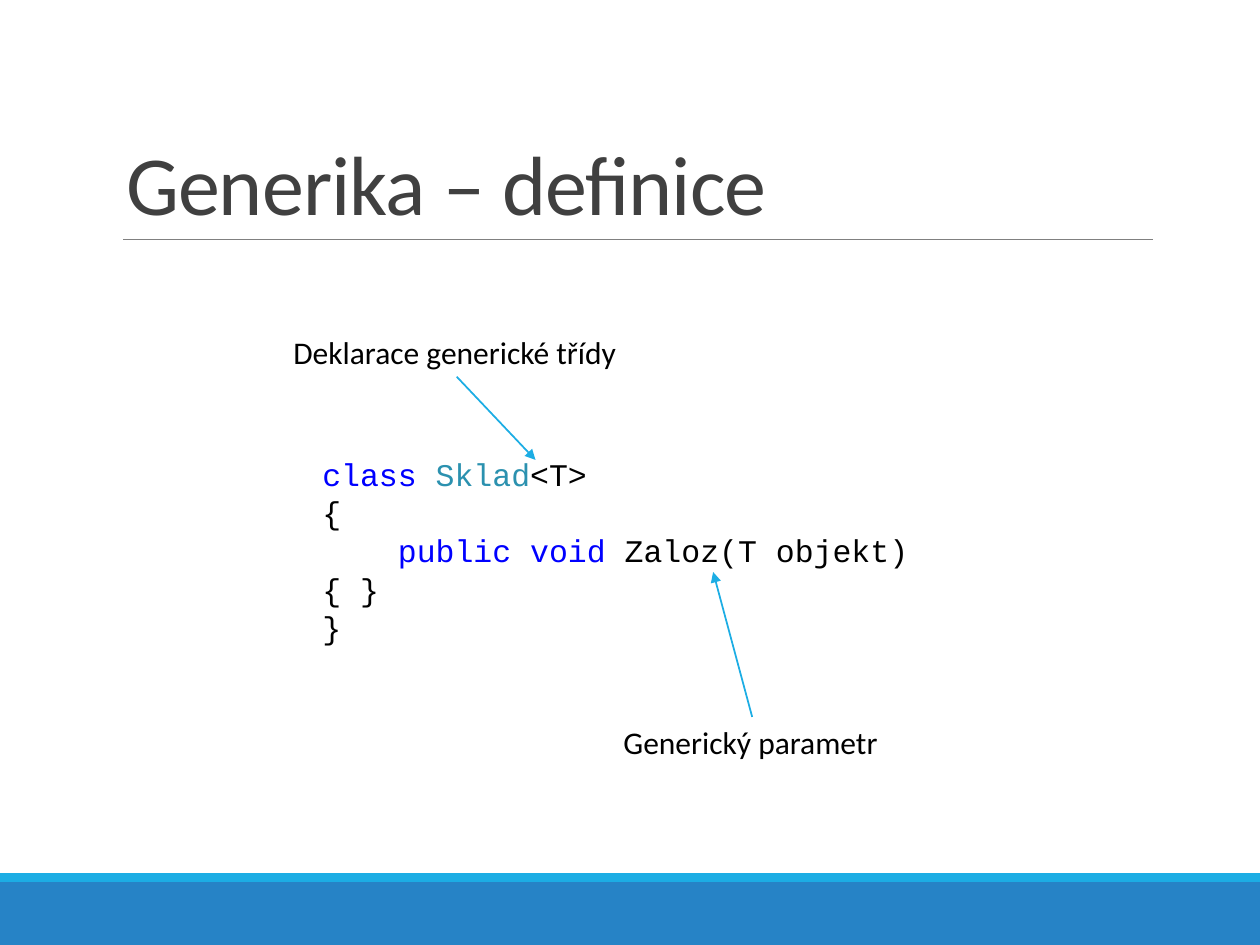
from lxml import etree
from pptx import Presentation
from pptx.dml.color import RGBColor
from pptx.enum.shapes import MSO_CONNECTOR, MSO_SHAPE
from pptx.enum.text import MSO_ANCHOR, MSO_AUTO_SIZE, PP_ALIGN
from pptx.oxml.ns import qn
from pptx.util import Inches, Pt

STRAIGHT = MSO_CONNECTOR.STRAIGHT
RECTANGLE = MSO_SHAPE.RECTANGLE
BOTTOM = MSO_ANCHOR.BOTTOM
GROW = MSO_AUTO_SIZE.SHAPE_TO_FIT_TEXT
NO_FIT = MSO_AUTO_SIZE.NONE
LEFT = PP_ALIGN.LEFT

BLACK = RGBColor(0x00, 0x00, 0x00)
CHARCOAL = RGBColor(0x40, 0x40, 0x40)
GREY = RGBColor(0x80, 0x80, 0x80)
BLUE = RGBColor(0x26, 0x83, 0xC6)
SKY = RGBColor(0x1C, 0xAD, 0xE4)
KEYWORD = RGBColor(0x00, 0x00, 0xFF)
TYPE_NAME = RGBColor(0x2B, 0x91, 0xAF)

TOP_SIDE, BOTTOM_SIDE = 0, 2

CODE_LINES = [
    [("class", KEYWORD), (" ", BLACK), ("Sklad", TYPE_NAME), ("<T>", BLACK)],
    [("{", BLACK)],
    [("    ", BLACK), ("public", KEYWORD), (" ", BLACK), ("void", KEYWORD),
     (" Zaloz(T objekt) { }", BLACK)],
    [("}", BLACK)],
]


def add_span(para, text, font_name, size, color):
    """Add one formatted run to a paragraph and return it."""
    span = para.add_run()
    span.text = text
    span.font.name = font_name
    span.font.size = Pt(size)
    span.font.color.rgb = color
    return span


def add_band(page, top, height, color):
    """Add a full-width footer band."""
    band = page.shapes.add_shape(
        RECTANGLE, 0, Inches(top), Inches(10), Inches(height))
    band.shadow.inherit = False
    band.fill.solid()
    band.fill.fore_color.rgb = color
    band.line.fill.background()


def add_line(page, start, end, color, width):
    """Add a straight line without a shadow."""
    line = page.shapes.add_connector(
        STRAIGHT, *(Inches(value) for value in start + end))
    line.line.color.rgb = color
    line.line.width = Pt(width)
    etree.SubElement(line._element.spPr, qn("a:effectLst"))
    return line


def add_arrow(page, label, side, start, end):
    """Add an arrow from the middle of a label's side to a point in the code."""
    arrow = add_line(page, start, end, SKY, 1)
    arrow.begin_connect(label, side)
    head = etree.SubElement(arrow.line._get_or_add_ln(), qn("a:tailEnd"))
    head.set("type", "triangle")


def fill_title(page, text):
    """Place and format the slide title."""
    title = page.shapes.title
    title.left, title.top = Inches(0.9), Inches(0.31)
    title.width, title.height = Inches(8.25), Inches(1.59)
    frame = title.text_frame
    frame.auto_size = NO_FIT
    frame.vertical_anchor = BOTTOM
    frame.word_wrap = True
    para = frame.paragraphs[0]
    para.alignment = LEFT
    para.line_spacing = 0.85
    span = add_span(para, text, "Calibri", 48, CHARCOAL)
    span.font._element.set("spc", "-50")


def add_text_box(page, left, top, width, height, wrap):
    """Add a text box that grows with its text."""
    box = page.shapes.add_textbox(
        Inches(left), Inches(top), Inches(width), Inches(height))
    box.text_frame.word_wrap = wrap
    box.text_frame.auto_size = GROW
    return box


def add_label(page, text, left, top, width):
    """Add a one-line explanatory label."""
    box = add_text_box(page, left, top, width, 0.4, False)
    add_span(box.text_frame.paragraphs[0], text, "Calibri", 18, BLACK)
    return box


def add_code(page):
    """Add the coloured class definition."""
    frame = add_text_box(page, 2.46, 3.56, 5.13, 1.31, True).text_frame
    for index, line in enumerate(CODE_LINES):
        para = frame.add_paragraph() if index else frame.paragraphs[0]
        para.line_spacing = Pt(21.8)
        for text, color in line:
            add_span(para, text, "Courier New", 18, color)


def main():
    """Build the slide and save it."""
    deck = Presentation()
    deck.slide_width, deck.slide_height = Inches(10), Inches(7.5)
    page = deck.slides.add_slide(deck.slide_layouts[5])
    add_band(page, 7, 0.5, BLUE)
    add_band(page, 6.93, 0.07, SKY)
    add_line(page, (0.98, 1.9), (9.15, 1.9), GREY, 0.5)
    fill_title(page, "Generika – definice")
    add_code(page)
    class_label = add_label(page, "Deklarace generické třídy", 2.23, 2.59, 2.79)
    parameter_label = add_label(page, "Generický parametr", 4.85, 5.69, 2.24)
    add_arrow(page, class_label, BOTTOM_SIDE, (3.63, 2.99), (4.25, 3.65))
    add_arrow(page, parameter_label, TOP_SIDE, (5.97, 5.69), (5.66, 4.54))
    deck.save("out.pptx")


if __name__ == "__main__":
    main()
